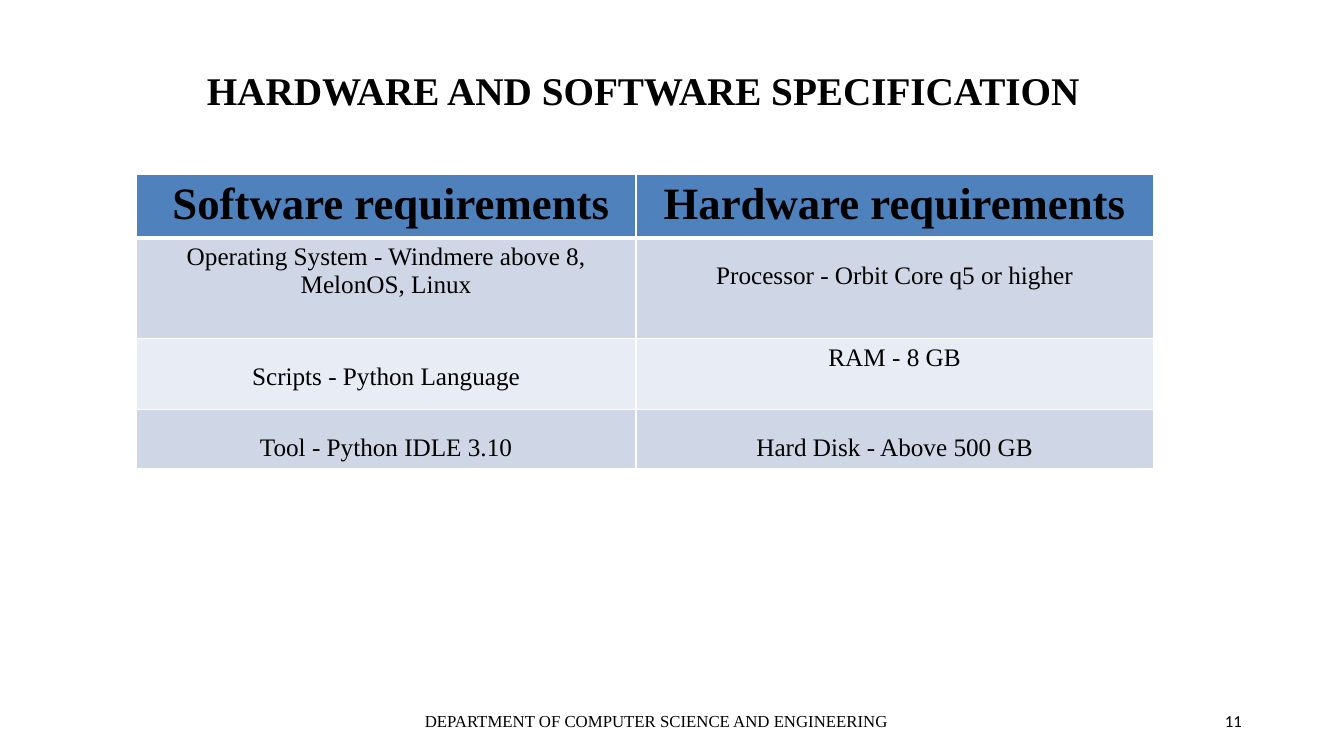
from dataclasses import dataclass

from lxml import etree
from pptx import Presentation
from pptx import util as u
from pptx.dml.color import RGBColor
from pptx.enum import text
from pptx.oxml import ns


@dataclass(frozen=True)
class Theme:
    serif: str = "Times New Roman"
    sans: str = "Calibri"
    ink: str = "000000"
    rule: str = "FFFFFF"
    header: str = "4F81BD"
    bands: tuple[str, str] = ("CFD7E7", "E8ECF4")
    title_size: int = 28
    header_size: int = 32
    body_size: int = 18
    footer_size: int = 12


@dataclass(frozen=True)
class Requirement:
    wording: str
    spacing: float = 1.0


@dataclass(frozen=True)
class FooterItem:
    wording: str
    left: float
    width: float
    font: str
    align: text.PP_ALIGN


THEME = Theme()
COLUMN_WIDTHS = (12.6, 13.03)
ROW_HEIGHTS = (1.6, 2.54, 1.78, 1.5)
HEADINGS = ("Software requirements", "Hardware requirements")
REQUIREMENTS = (
    (Requirement("Operating System - Windmere above 8, MelonOS, Linux"),
     Requirement("Processor - Orbit Core q5 or higher", 1.7)),
    (Requirement("Scripts - Python Language", 1.7),
     Requirement("RAM - 8 GB")),
    (Requirement("Tool - Python IDLE 3.10", 1.7),
     Requirement("Hard Disk - Above 500 GB", 1.7)),
)
FOOTER = (
    FooterItem("DEPARTMENT OF COMPUTER SCIENCE AND ENGINEERING",
               9.19, 14.71, THEME.serif, text.PP_ALIGN.CENTER),
    FooterItem("11", 23.93, 7.62, THEME.sans, text.PP_ALIGN.RIGHT),
)


def write(frame, wording: str, *, size: int, font: str = THEME.serif,
          bold: bool = False, align=text.PP_ALIGN.CENTER,
          spacing: float = 1.0) -> None:
    """Fill a text frame with one formatted paragraph."""
    frame.word_wrap = True
    paragraph = frame.paragraphs[0]
    paragraph.alignment = align
    paragraph.line_spacing = spacing
    run = paragraph.add_run()
    run.text = wording
    run.font.size = u.Pt(size)
    run.font.name = font
    run.font.bold = bold
    run.font.color.rgb = RGBColor.from_string(THEME.ink)


def paint_cell(cell, fill: str, top: int = 1, bottom: int = 1) -> None:
    """Give a cell its white borders, in points, and then its fill."""
    properties = cell._tc.get_or_add_tcPr()
    for side, width in (("L", 1), ("R", 1), ("T", top), ("B", bottom)):
        line = etree.SubElement(properties, ns.qn(f"a:ln{side}"), w=str(u.Pt(width)))
        solid = etree.SubElement(line, ns.qn("a:solidFill"))
        etree.SubElement(solid, ns.qn("a:srgbClr"), val=THEME.rule)
    cell.fill.solid()
    cell.fill.fore_color.rgb = RGBColor.from_string(fill)


def add_title(slide) -> None:
    title = slide.shapes.title
    title.left, title.top = u.Cm(1.6), u.Cm(0.79)
    title.width, title.height = u.Cm(29.21), u.Cm(2.95)
    title.text_frame.vertical_anchor = text.MSO_ANCHOR.MIDDLE
    write(title.text_frame, "HARDWARE AND SOFTWARE SPECIFICATION",
          size=THEME.title_size, bold=True)


def add_requirements(slide) -> None:
    table = slide.shapes.add_table(
        len(ROW_HEIGHTS), len(COLUMN_WIDTHS), u.Cm(3.43), u.Cm(4.39),
        u.Cm(sum(COLUMN_WIDTHS)), u.Cm(sum(ROW_HEIGHTS))).table
    for column, width in zip(table.columns, COLUMN_WIDTHS):
        column.width = u.Cm(width)
    for row, height in zip(table.rows, ROW_HEIGHTS):
        row.height = u.Cm(height)

    # Header row, with a heavier rule below
    for index, heading in enumerate(HEADINGS):
        cell = table.cell(0, index)
        paint_cell(cell, THEME.header, bottom=3)
        write(cell.text_frame, heading, size=THEME.header_size, bold=True)
    table.cell(0, 0).margin_left = u.Cm(0.5)

    # Banded requirement rows
    for row_index, requirements in enumerate(REQUIREMENTS, start=1):
        for index, requirement in enumerate(requirements):
            cell = table.cell(row_index, index)
            paint_cell(cell, THEME.bands[(row_index - 1) % 2],
                       top=3 if row_index == 1 else 1)
            write(cell.text_frame, requirement.wording, size=THEME.body_size,
                  spacing=requirement.spacing)


def add_footer(slide, item: FooterItem) -> None:
    box = slide.shapes.add_textbox(
        u.Cm(item.left), u.Cm(17.65), u.Cm(item.width), u.Cm(1.02))
    box.text_frame.vertical_anchor = text.MSO_ANCHOR.MIDDLE
    write(box.text_frame, item.wording, size=THEME.footer_size,
          font=item.font, align=item.align)


def main() -> None:
    deck = Presentation()
    deck.slide_width, deck.slide_height = u.Cm(33.87), u.Cm(19.05)
    slide = deck.slides.add_slide(deck.slide_layouts.get_by_name("Title Only"))
    add_title(slide)
    add_requirements(slide)
    for item in FOOTER:
        add_footer(slide, item)
    deck.save("out.pptx")


if __name__ == "__main__":
    main()
